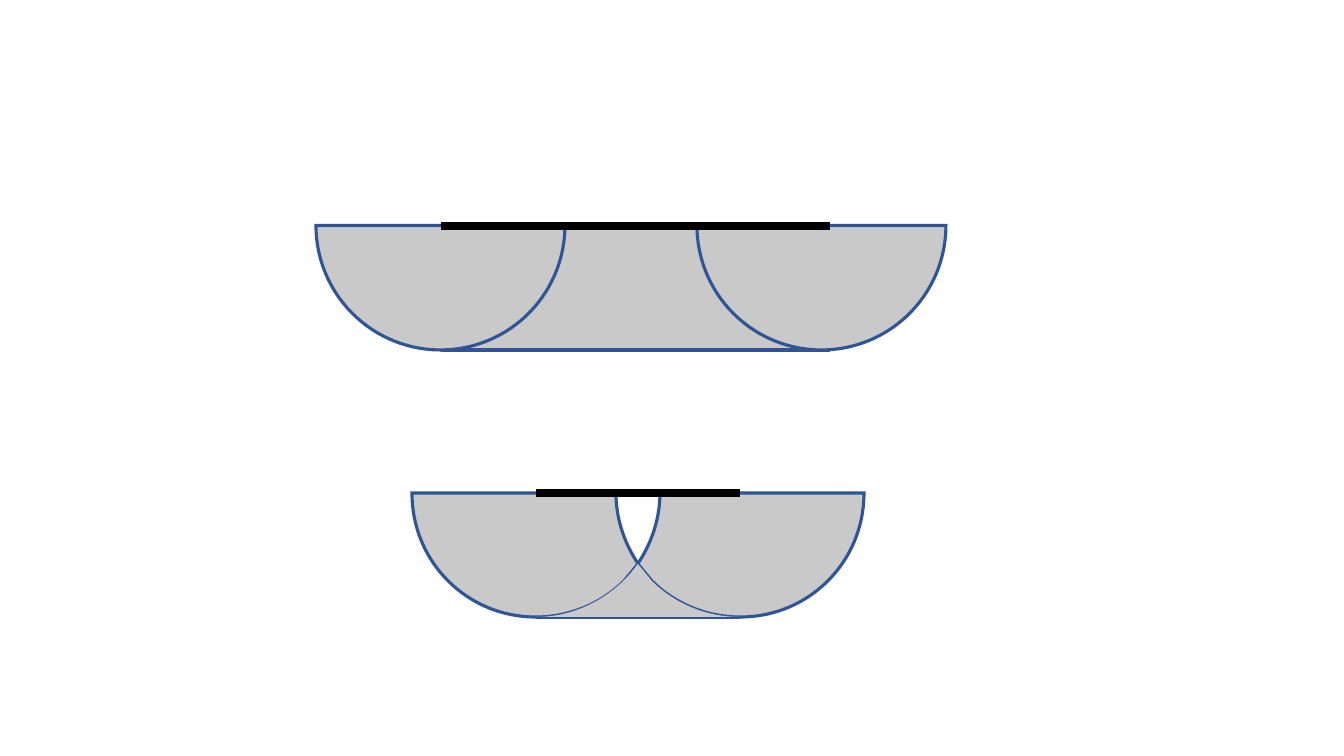
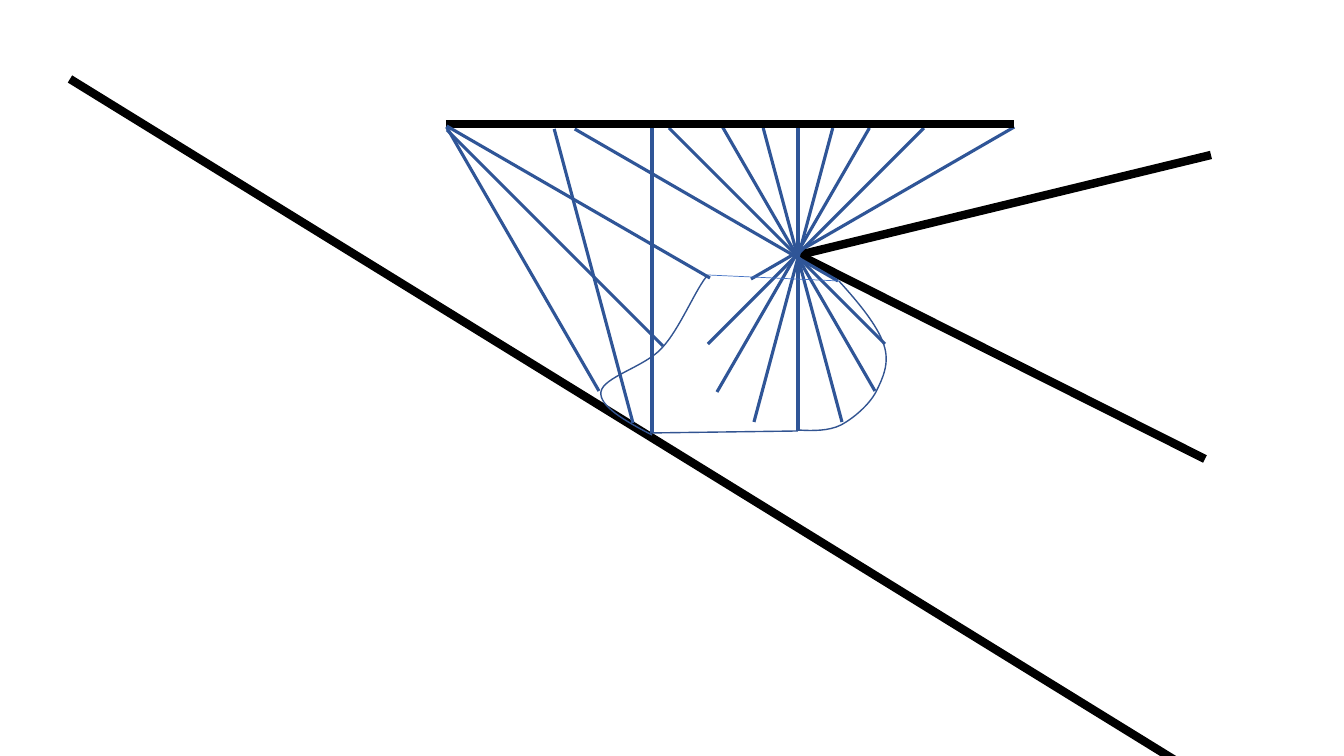
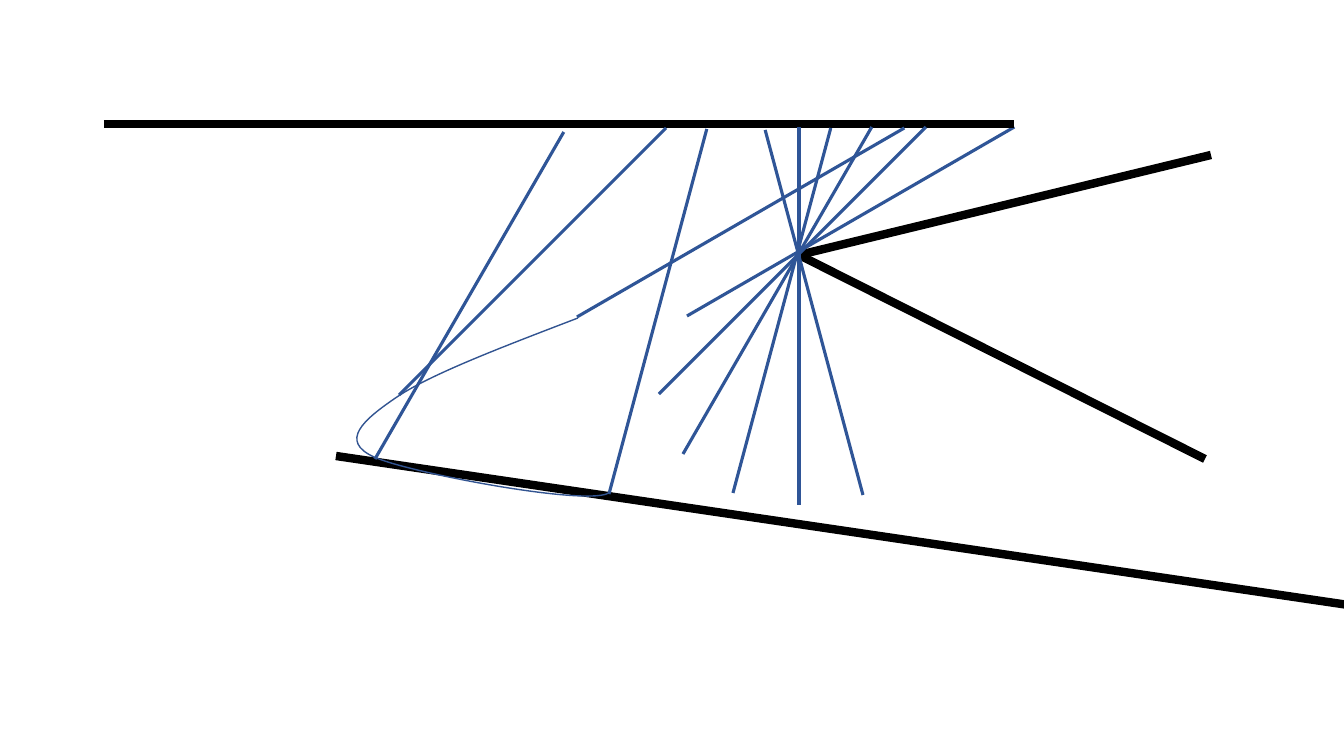
from math import cos, radians, sin

from lxml.etree import SubElement
from pptx import Presentation
from pptx.dml.color import RGBColor
from pptx.enum.shapes import MSO_CONNECTOR, MSO_SHAPE
from pptx.oxml.ns import qn
from pptx.util import Inches, Pt

PIXEL = Inches(1) / 100.8
COLORS = {"wall": "000000", "ray": "2F5597", "outline": "325491",
          "hairline": "4472C4", "area": "C9C9C9"}
WALL = ("wall", 6)
RAY = ("ray", 2.25)
OUTLINE = ("outline", 1)
HAIRLINE = ("hairline", 0.5)
CURVE_STEPS = 16
HUB = (799, 255)


def emu(pixels):
    return round(pixels * PIXEL)


def style_line(line, style):
    color, width = style
    line.color.rgb = RGBColor.from_string(COLORS[color])
    line.width = Pt(width)


def style_shape(shape, fill=None, line=None):
    shape.shadow.inherit = False
    if fill:
        shape.fill.solid()
        shape.fill.fore_color.rgb = RGBColor.from_string(COLORS[fill])
    else:
        shape.fill.background()
    if line:
        style_line(shape.line, line)
        SubElement(shape._element.spPr.find(qn("a:ln")), qn("a:miter"), lim="800000")
    else:
        shape.line.fill.background()


def add_line(slide, origin, start, end, style):
    left, top = origin
    connector = slide.shapes.add_connector(
        MSO_CONNECTOR.STRAIGHT, emu(left + start[0]), emu(top + start[1]),
        emu(left + end[0]), emu(top + end[1]))
    style_line(connector.line, style)
    SubElement(connector._element.spPr, qn("a:effectLst"))


def add_preset(slide, kind, box, fill, line=None):
    shape = slide.shapes.add_shape(kind, *map(emu, box))
    style_shape(shape, fill, line)
    return shape


# A contour is a list of steps: (end,) is straight, (control, control, end) curved
def line_to(*points):
    return [(point,) for point in points]


def mirror(contour):
    return [tuple((-x, y) for x, y in step) for step in contour]


def trace(contour):
    """Points along the contour, which give the shape its extent."""
    points = [contour[0][0]]
    for step in contour[1:]:
        if len(step) == 1:
            points += step
            continue
        corners = (points[-1], *step)
        for index in range(1, CURVE_STEPS + 1):
            t = index / CURVE_STEPS
            weights = ((1 - t) ** 3, 3 * t * (1 - t) ** 2, 3 * t * t * (1 - t), t ** 3)
            points.append(tuple(sum(w * corner[axis] for w, corner in zip(weights, corners))
                                for axis in (0, 1)))
    return points


def add_outline(slide, origin, contours, fill=None, line=None):
    def place(point):
        return emu(origin[0] + point[0]), emu(origin[1] + point[1])

    first, *rest = [place(point) for contour in contours for point in trace(contour)]
    builder = slide.shapes.build_freeform(*first, scale=1.0)
    builder.add_line_segments(rest, close=False)
    shape = builder.convert_to_shape()
    style_shape(shape, fill, line)

    # Swap the traced points for true line and curve commands
    outline = next(shape._element.iter(qn("a:path")))
    for command in list(outline):
        outline.remove(command)
    for contour in contours:
        for index, step in enumerate(contour):
            name = "moveTo" if index == 0 else "lnTo" if len(step) == 1 else "cubicBezTo"
            command = SubElement(outline, qn("a:" + name))
            for point in step:
                x, y = place(point)
                SubElement(command, qn("a:pt"), x=str(x - shape.left), y=str(y - shape.top))
        if fill:
            SubElement(outline, qn("a:close"))


# Wide plate: two half discs joined by a filled band
def draw_wide_plate(slide, left, top, width, radius):
    right = left + width
    diameter = 2 * radius + 1
    add_preset(slide, MSO_SHAPE.RECTANGLE, (left, top, width, radius), "area")
    add_line(slide, (left, top), (0, radius), (width, radius), RAY)
    for center in (right - 8, left):
        disc = add_preset(slide, MSO_SHAPE.PIE,
                          (center - radius - 1, top - radius - 1, diameter, diameter),
                          "area", RAY)
        disc.adjustments[0] = 0
        disc.adjustments[1] = 108
    add_line(slide, (left, top), (0, 0), (width, 0), WALL)


# Narrow plate: two half discs that cross on the middle axis
def draw_narrow_plate(slide, middle, top, half, radius):
    origin = (middle, top)
    reach = half + radius
    overlap = radius - half
    right_half = [
        *line_to((overlap, 0), (half, 0), (reach, 0)),
        ((reach, 69), (171, radius), (half, radius)),
        ((68, radius), (36, 110), (14, 88)),
        *line_to((0, 71), (1, 69)),
        ((14, 49), (overlap, 25), (overlap, 0))]
    foot = [
        *line_to((0, 71), (14, 88)),
        ((36, 110), (68, radius), (half, radius)),
        *line_to((-half, radius)),
        ((-65, radius), (-31, 107), (-8, 81))]
    add_line(slide, origin, (-half, radius), (half, radius), RAY)
    add_outline(slide, origin, [right_half, mirror(right_half)], "area", RAY)
    add_line(slide, origin, (-half, 0), (half, 0), WALL)
    add_outline(slide, origin, [foot], "area")


# Rays rise from a foot at an angle until they reach the ceiling
def draw_rays(slide, hub, rays):
    for angle, x, y, head_y in rays:
        head_x = x + (y - head_y) * cos(radians(angle)) / sin(radians(angle))
        add_line(slide, hub, (x, y), (head_x, head_y), RAY)


# Wedge with its tip at the hub, and the slope below it
def draw_obstacles(slide, hub, slope):
    for end in ((406, 204), (412, -100)):
        add_line(slide, hub, (0, 0), end, WALL)
    add_line(slide, hub, *slope, WALL)


def draw_ceiling(slide, hub, left):
    add_line(slide, hub, (left, -131), (215, -131), WALL)


def draw_curve(slide, hub, start, *steps):
    add_outline(slide, hub, [[(start,), *steps]], line=OUTLINE)


def draw_steep_slope(slide, hub):
    draw_rays(slide, hub, [(30, -48, 24, -128)])
    draw_obstacles(slide, hub, ((-729, -176), (447, 549)))
    draw_rays(slide, hub, [
        (45, -91, 89, -127), (60, -82, 137, -127), (75, -45, 167, -127),
        (90, -1, 176, -128), (105, 43, 167, -127), (120, 76, 136, -128),
        (135, 86, 89, -127), (150, 39, 26, -126), (90, -147, 178, -127)])
    draw_ceiling(slide, hub, -353)
    draw_curve(slide, hub, (-149, 178), ((-1, 176),))
    draw_rays(slide, hub, [(105, -166, 168, -126), (120, -200, 136, -128),
                           (135, -136, 91, -125), (150, -89, 23, -129)])
    draw_curve(slide, hub, (-147, 180), ((-174, 166), (-200, 151), (-198, 137)),
               ((-196, 122), (-154, 112), (-137, 93)),
               ((-119, 74), (-102, 31), (-91, 20)))
    draw_curve(slide, hub, (-1, 175), ((14, 176), (30, 176), (42, 170)),
               ((55, 163), (70, 150), (77, 137)), ((84, 123), (91, 108), (85, 90)),
               ((79, 71), (60, 48), (40, 26)))
    add_line(slide, hub, (-91, 20), (40, 26), HAIRLINE)


def draw_gentle_slope(slide, hub):
    draw_rays(slide, hub, [(30, -112, 61, -128)])
    draw_obstacles(slide, hub, ((-463, 201), (597, 357)))
    draw_ceiling(slide, hub, -695)
    draw_rays(slide, hub, [
        (45, -140, 139, -128), (60, -116, 199, -128), (75, -66, 238, -127),
        (90, 0, 250, -128), (105, 64, 240, -125), (30, -222, 62, -127),
        (45, -400, 140, -127), (60, -424, 204, -123), (75, -190, 239, -126)])
    draw_curve(slide, hub, (-221, 63), ((-294, 91), (-368, 119), (-402, 142)),
               ((-436, 165), (-460, 186), (-425, 202)),
               ((-390, 218), (-204, 253), (-189, 237)))


presentation = Presentation()
presentation.slide_width = emu(1344)
presentation.slide_height = emu(756)
blank = presentation.slide_layouts[6]
plates, steep, gentle = [presentation.slides.add_slide(blank) for _ in range(3)]

draw_wide_plate(plates, left=441, top=226, width=389, radius=124)
draw_narrow_plate(plates, middle=638, top=493, half=102, radius=124)
draw_steep_slope(steep, HUB)
draw_gentle_slope(gentle, HUB)

presentation.save("out.pptx")
